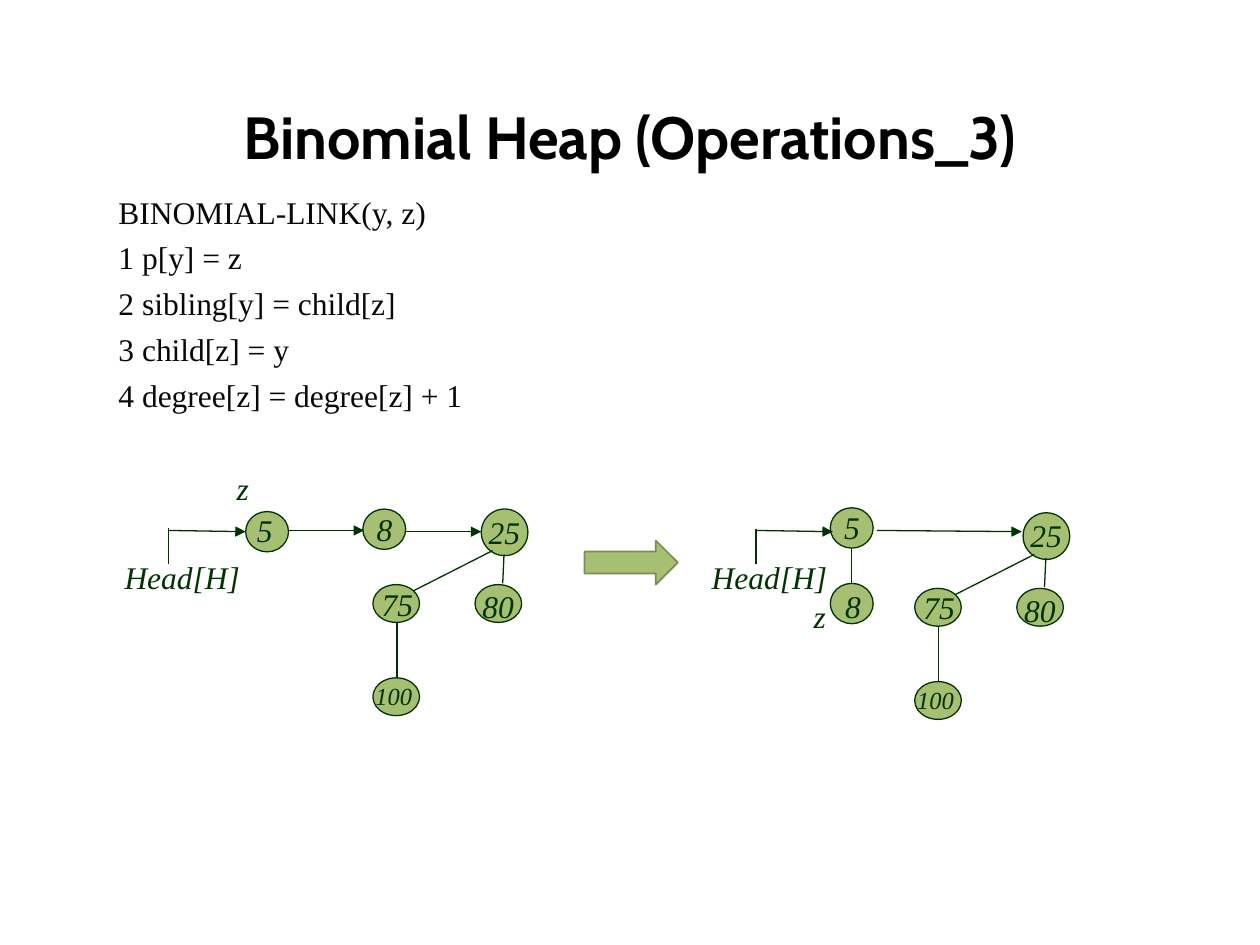
import pptx
import pptx.dml.color
import pptx.enum.shapes
import pptx.enum.text
import pptx.util
from lxml import etree
from pptx.oxml.ns import qn
from pptx.util import Inches

COLORS = {"title": "000000", "code": "080808", "ink": "003300",
          "node": "A6BF73", "arrow_edge": "7B8D55"}
RGB = {name: pptx.dml.color.RGBColor.from_string(value) for name, value in COLORS.items()}
SHAPES = pptx.enum.shapes.MSO_SHAPE
ALIGN = pptx.enum.text.PP_ALIGN
ANCHOR = pptx.enum.text.MSO_ANCHOR
LABEL_FONT = {"name": "Times New Roman", "italic": True}


def add_line(shapes, start, end, arrow=False):
    line = shapes.add_connector(pptx.enum.shapes.MSO_CONNECTOR.STRAIGHT,
                                *[Inches(value) for value in start + end])
    line.line.color.rgb = RGB["ink"]
    line.line.width = pptx.util.Pt(0.75)
    if arrow:
        etree.SubElement(line.line._get_or_add_ln(), qn("a:tailEnd"), type="triangle")
    etree.SubElement(line._element.spPr, qn("a:effectLst"))


def add_label(shapes, text, left, top, width, height=0.4, size=18):
    box = shapes.add_textbox(*[Inches(value) for value in (left, top, width, height)])
    box.text_frame.word_wrap = True
    para = box.text_frame.paragraphs[0]
    span = para.add_run()
    span.text = text
    for name, value in LABEL_FONT.items():
        setattr(span.font, name, value)
    span.font.size = pptx.util.Pt(size)
    span.font.color.rgb = RGB["ink"]


deck = pptx.Presentation()
deck.slide_width, deck.slide_height = Inches(10), Inches(7.5)
page = deck.slides.add_slide(deck.slide_layouts[1])

# Title and pseudocode
code = ["BINOMIAL-LINK(y, z)", "1 p[y] = z", "2 sibling[y] = child[z]",
        "3 child[z] = y", "4 degree[z] = degree[z] + 1"]
texts = [
    (page.shapes.title, (0.5, 0.68, 9, 0.79), ["Binomial Heap (Operations_3)"],
     ANCHOR.MIDDLE, ALIGN.CENTER, "title",
     {"name": "Cabin", "size": pptx.util.Pt(34), "bold": True}),
    (page.placeholders[1], (0.84, 1.48, 7.86, 2.27), code,
     ANCHOR.TOP, ALIGN.JUSTIFY, "code",
     {"name": "Times New Roman", "size": pptx.util.Pt(18)}),
]
for box, place, lines, anchor, align, color, font in texts:
    box.left, box.top, box.width, box.height = [Inches(value) for value in place]
    frame = box.text_frame
    frame.word_wrap = True
    frame.auto_size = pptx.enum.text.MSO_AUTO_SIZE.NONE
    frame.vertical_anchor = anchor
    for index, text in enumerate(lines):
        para = frame.paragraphs[0] if index == 0 else frame.add_paragraph()
        para.alignment = align
        para.space_before = pptx.util.Pt(4.5 if index else 0)
        properties = para._p.get_or_add_pPr()
        properties.set("marL", "0")
        properties.set("indent", "0")
        etree.SubElement(properties, qn("a:buNone"))
        span = para.add_run()
        span.text = text
        for name, value in font.items():
            setattr(span.font, name, value)
        span.font.color.rgb = RGB[color]

# Arrow between the two heaps
arrow = page.shapes.add_shape(SHAPES.RIGHT_ARROW, Inches(4.64), Inches(4.29),
                              Inches(0.74), Inches(0.35))
arrow.shadow.inherit = False
arrow.fill.solid()
arrow.fill.fore_color.rgb = RGB["node"]
arrow.line.color.rgb = RGB["arrow_edge"]
arrow.line.width = pptx.util.Pt(1)

# The tree rooted at 25 is the same in both heaps, only shifted
tree_nodes = [(2.96, 5.38, 0.37, 0.3), (2.96, 4.64, 0.37, 0.3),
              (3.77, 4.64, 0.37, 0.3), (3.82, 4.04, 0.37, 0.37)]
tree_edges = [((3.15, 4.94), (3.15, 5.38)), ((4, 4.4), (3.99, 4.63)),
              ((3.91, 4.37), (3.28, 4.69))]
tree_labels = [("100", 2.88, 5.36, 0.59, 0.34, 14), ("80", 3.73, 4.61, 0.49),
               ("75", 2.93, 4.59, 0.49), ("25", 3.78, 4.02, 0.47)]

heaps = [
    {"shift": (0, 0),
     "nodes": [(1.95, 4.06, 0.34, 0.32), (2.88, 4.04, 0.34, 0.32)],
     "edges": [((1.34, 4.19), (1.34, 4.48))],
     "links": [((1.34, 4.21), (1.95, 4.22)), ((2.29, 4.21), (2.89, 4.21)),
               ((3.22, 4.22), (3.82, 4.22))],
     "labels": [("Head[H]", 0.89, 4.38, 1.5, 0.35), ("z", 1.78, 3.67, 0.42),
                ("5", 1.94, 4.01, 0.42), ("8", 2.89, 4, 0.41)]},
    {"shift": (4.3, 0.03),
     "nodes": [(6.59, 4.63, 0.34, 0.32), (6.59, 4.03, 0.34, 0.32)],
     "edges": [((6, 4.2), (6, 4.48)), ((6.76, 4.35), (6.76, 4.63))],
     "links": [((6, 4.21), (6.61, 4.22)), ((6.96, 4.21), (8.11, 4.22))],
     "labels": [("Head[H]", 5.55, 4.38, 1.5, 0.35), ("z", 6.36, 4.69, 0.42),
                ("5", 6.6, 3.98, 0.42), ("8", 6.61, 4.61, 0.41)]},
]

for heap in heaps:
    shapes = page.shapes.add_group_shape().shapes
    dx, dy = heap["shift"]

    # Nodes
    shifted_nodes = [(x + dx, y + dy, width, height) for x, y, width, height in tree_nodes]
    for place in heap["nodes"] + shifted_nodes:
        node = shapes.add_shape(SHAPES.OVAL, *[Inches(value) for value in place])
        node.shadow.inherit = False
        node.fill.solid()
        node.fill.fore_color.rgb = RGB["node"]
        node.line.color.rgb = RGB["ink"]
        node.line.width = pptx.util.Pt(0.75)

    # Tree edges and root list links
    shifted_edges = [tuple((x + dx, y + dy) for x, y in edge) for edge in tree_edges]
    for start, end in heap["edges"] + shifted_edges:
        add_line(shapes, start, end)
    for start, end in heap["links"]:
        add_line(shapes, start, end, arrow=True)

    # Keys and pointer names
    for label in heap["labels"]:
        add_label(shapes, *label)
    for text, left, top, *size in tree_labels:
        add_label(shapes, text, left + dx, top + dy, *size)

deck.save("out.pptx")
